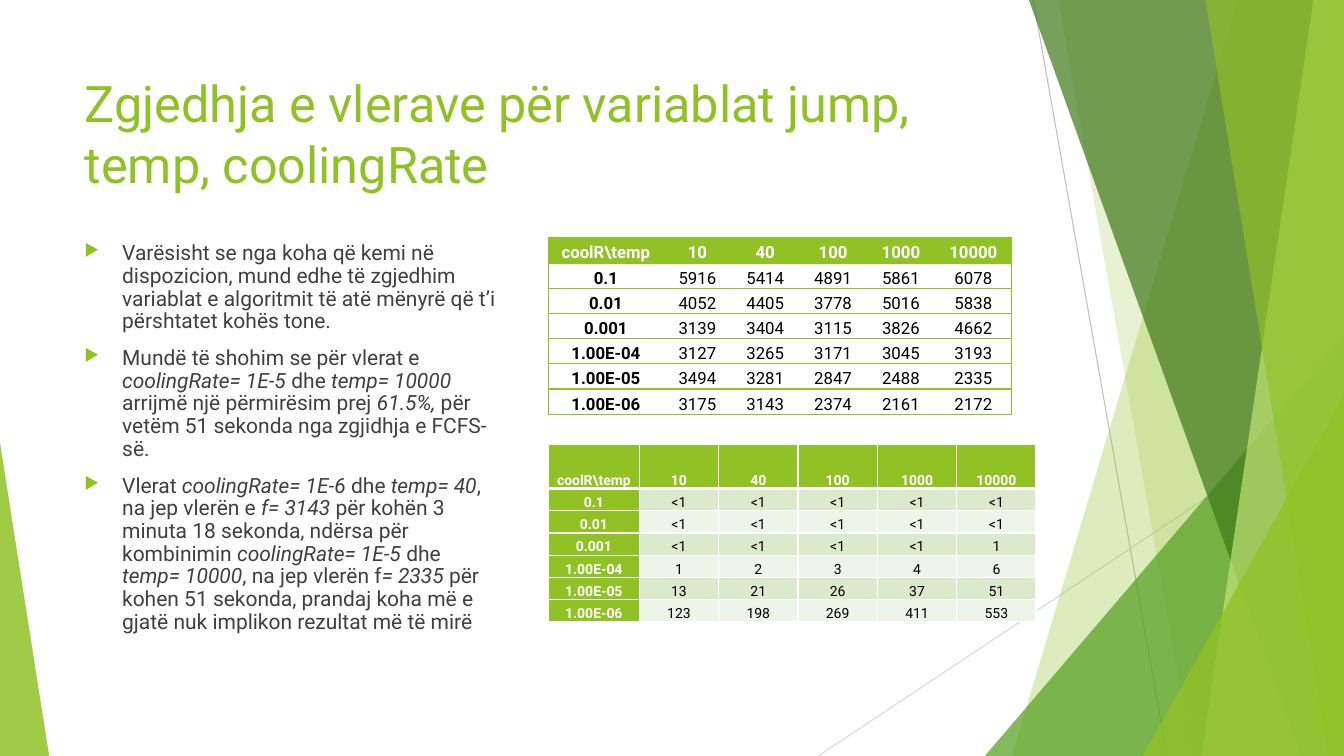
from lxml import etree
from pptx import Presentation
from pptx.dml.color import RGBColor
from pptx.enum import shapes, text
from pptx.oxml.ns import qn
from pptx.util import Cm, Pt

GREEN = RGBColor(0x90, 0xC2, 0x26)
MID_GREEN = RGBColor(0x54, 0xA0, 0x21)
DARK_GREEN = RGBColor(0x3F, 0x78, 0x19)
LIME = RGBColor(0xC0, 0xE4, 0x74)
BAND_DARK = RGBColor(0xDB, 0xE9, 0xCD)
BAND_LIGHT = RGBColor(0xEE, 0xF4, 0xE8)
GREY = RGBColor(0xBF, 0xBF, 0xBF)
LIGHT_GREY = RGBColor(0xD9, 0xD9, 0xD9)
TEXT_GREY = RGBColor(0x40, 0x40, 0x40)
WHITE = RGBColor(0xFF, 0xFF, 0xFF)
BLACK = RGBColor(0, 0, 0)
FONT = "Roboto"
NO_GRID_STYLE = "{2D5ABB26-0587-4C30-8999-92F81FD0307C}"
WIDTH, HEIGHT = 33.87, 19.05


def add_run(paragraph, words, size, color, bold=False, italic=False):
    run = paragraph.add_run()
    run.text = words
    run.font.name = FONT
    run.font.size = Pt(size)
    run.font.color.rgb = color
    run.font.bold = bold
    run.font.italic = italic


def add_element(parent, tag, **attributes):
    return etree.SubElement(parent, qn(tag), attributes)


presentation = Presentation()
presentation.slide_width = Cm(WIDTH)
presentation.slide_height = Cm(HEIGHT)
slide = presentation.slides.add_slide(presentation.slide_layouts[5])

for x1, y1, x2, y2, color in [
    (26.04, 0, 29.41, HEIGHT, GREY),
    (WIDTH, 10.24, 20.62, HEIGHT, LIGHT_GREY),
]:
    line = slide.shapes.add_connector(
        shapes.MSO_CONNECTOR.STRAIGHT, Cm(x1), Cm(y1), Cm(x2), Cm(y2))
    line.line.color.rgb = color
    line.line.width = Pt(0.75)
    add_element(line._element.spPr, "a:effectLst")

facets = [
    ("band", (31.19, 25.5), GREEN, 30),
    ("band", (26.67, 30.05), GREEN, 20),
    ("triangle", (24.82, 8.46, 9.05, 1), MID_GREEN, 72),
    ("band", (25.93, 32.79), DARK_GREEN, 70),
    ("band", (33.1, 30.28), LIME, 70),
    ("band", (30.38, 33.48), GREEN, 65),
    ("triangle", (28.8, 9.98, 5.07, 1), GREEN, 80),
    ("triangle", (0, 11.15, 1.24, 0), GREEN, 85),
]
for kind, geometry, color, opacity in facets:
    if kind == "band":
        top_x, bottom_x = geometry
        builder = slide.shapes.build_freeform(Cm(top_x), 0)
        builder.add_line_segments([
            (Cm(WIDTH), 0), (Cm(WIDTH), Cm(HEIGHT)), (Cm(bottom_x), Cm(HEIGHT))])
        facet = builder.convert_to_shape()
    else:
        left, top, width, apex = geometry
        facet = slide.shapes.add_shape(
            shapes.MSO_SHAPE.ISOSCELES_TRIANGLE,
            Cm(left), Cm(top), Cm(width), Cm(HEIGHT - top))
        facet.adjustments[0] = apex
    facet.shadow.inherit = False
    facet.line.fill.background()
    facet.fill.solid()
    facet.fill.fore_color.rgb = color
    color_element = facet._element.spPr.find(".//" + qn("a:srgbClr"))
    add_element(color_element, "a:alpha", val=str(opacity * 1000))

title = slide.shapes.title
title.left, title.top, title.width, title.height = Cm(1.88), Cm(1.7), Cm(23.88), Cm(3.66)
title.text_frame.auto_size = text.MSO_AUTO_SIZE.NONE
title.text_frame.vertical_anchor = text.MSO_ANCHOR.TOP
title_paragraph = title.text_frame.paragraphs[0]
title_paragraph.alignment = text.PP_ALIGN.LEFT
add_run(title_paragraph, "Zgjedhja e vlerave për variablat jump, temp, coolingRate", 36, GREEN)

bullets = [
    ["Varësisht se nga koha që kemi në dispozicion, mund edhe të zgjedhim variablat "
     "e algoritmit të atë mënyrë që t’i përshtatet kohës tone."],
    ["Mundë të shohim se për vlerat e ", "coolingRate= 1E-5", " dhe ", "temp= 10000",
     " arrijmë një përmirësim prej ", "61.5%,",
     " për vetëm 51 sekonda nga zgjidhja e FCFS-së."],
    ["Vlerat ", "coolingRate= 1E-6 ", "dhe", " temp= 40", ", na jep vlerën e ", "f= 3143",
     " për kohën 3 minuta 18 sekonda, ndërsa për kombinimin ", "coolingRate= 1E-5",
     " dhe ", "temp= 10000", ", na jep vlerën f", "= 2335",
     " për kohen 51 sekonda, prandaj koha më e gjatë nuk implikon rezultat më të mirë"],
]
body = slide.shapes.add_textbox(Cm(1.88), Cm(5.99), Cm(11), Cm(10.41))
body.text_frame.word_wrap = True
for number, pieces in enumerate(bullets):
    paragraph = body.text_frame.add_paragraph() if number else body.text_frame.paragraphs[0]
    paragraph.line_spacing = 0.9
    paragraph.space_before = Pt(10)
    properties = paragraph._p.get_or_add_pPr()
    properties.set("marL", str(Cm(0.95)))
    properties.set("indent", str(Cm(-0.95)))
    bullet_color = add_element(properties, "a:buClr")
    add_element(bullet_color, "a:srgbClr", val=str(GREEN))
    add_element(properties, "a:buSzPct", val="80000")
    add_element(properties, "a:buChar", char="▶")
    for index, piece in enumerate(pieces):
        add_run(paragraph, piece, 15, TEXT_GREY, italic=index % 2 == 1)

temperatures = ["10", "40", "100", "1000", "10000"]
cooling_rates = ["0.1", "0.01", "0.001", "1.00E-04", "1.00E-05", "1.00E-06"]
results = [
    [5916, 5414, 4891, 5861, 6078],
    [4052, 4405, 3778, 5016, 5838],
    [3139, 3404, 3115, 3826, 4662],
    [3127, 3265, 3171, 3045, 3193],
    [3494, 3281, 2847, 2488, 2335],
    [3175, 3143, 2374, 2161, 2172],
]
durations = [
    ["<1"] * 5,
    ["<1"] * 5,
    ["<1"] * 4 + [1],
    [1, 2, 3, 4, 6],
    [13, 21, 26, 37, 51],
    [123, 198, 269, 411, 553],
]
tables = [
    (results, 5.99, [2.9] + [1.71] * 4 + [1.94], [0.635] * 7, 12, 0.23, False),
    (durations, 11.2, [2.29] + [2] * 5, [1.11] + [0.56] * 6, 10, 0.18, True),
]
for values, top, widths, heights, size, margin, banded in tables:
    frame = slide.shapes.add_table(
        7, 6, Cm(13.82), Cm(top), Cm(sum(widths)), Cm(sum(heights)))
    table = frame.table
    table._tbl.tblPr.find(qn("a:tableStyleId")).text = NO_GRID_STYLE
    for column, width in zip(table.columns, widths):
        column.width = Cm(width)
    for row, height in zip(table.rows, heights):
        row.height = Cm(height)
    rows = [["coolR\\temp"] + temperatures]
    rows += [[rate] + numbers for rate, numbers in zip(cooling_rates, values)]
    for r, row_values in enumerate(rows):
        for c, value in enumerate(row_values):
            cell = table.cell(r, c)
            cell.margin_left = cell.margin_right = Cm(margin)
            cell.margin_top = cell.margin_bottom = 0
            cell.vertical_anchor = text.MSO_ANCHOR.BOTTOM
            is_header = r == 0 or (banded and c == 0)
            paragraph = cell.text_frame.paragraphs[0]
            paragraph.alignment = text.PP_ALIGN.CENTER
            paragraph.line_spacing = 1.07
            add_run(paragraph, str(value), size, WHITE if is_header else BLACK,
                    bold=r == 0 or c == 0)

            sides = {"L": banded or c == 0, "R": banded or c == 5, "T": True, "B": True}
            for side in [side for side, shown in sides.items() if shown]:
                heavy = banded and (r, side) in [(0, "B"), (1, "T")]
                border = add_element(cell._tc.get_or_add_tcPr(), "a:ln" + side,
                                     w=str(Pt(3 if heavy else 1)))
                border_fill = add_element(border, "a:solidFill")
                add_element(border_fill, "a:srgbClr", val=str(WHITE if banded else GREEN))
            if is_header or banded:
                cell.fill.solid()
                band = BAND_DARK if r % 2 else BAND_LIGHT
                cell.fill.fore_color.rgb = GREEN if is_header else band
            else:
                cell.fill.background()

presentation.save("out.pptx")
